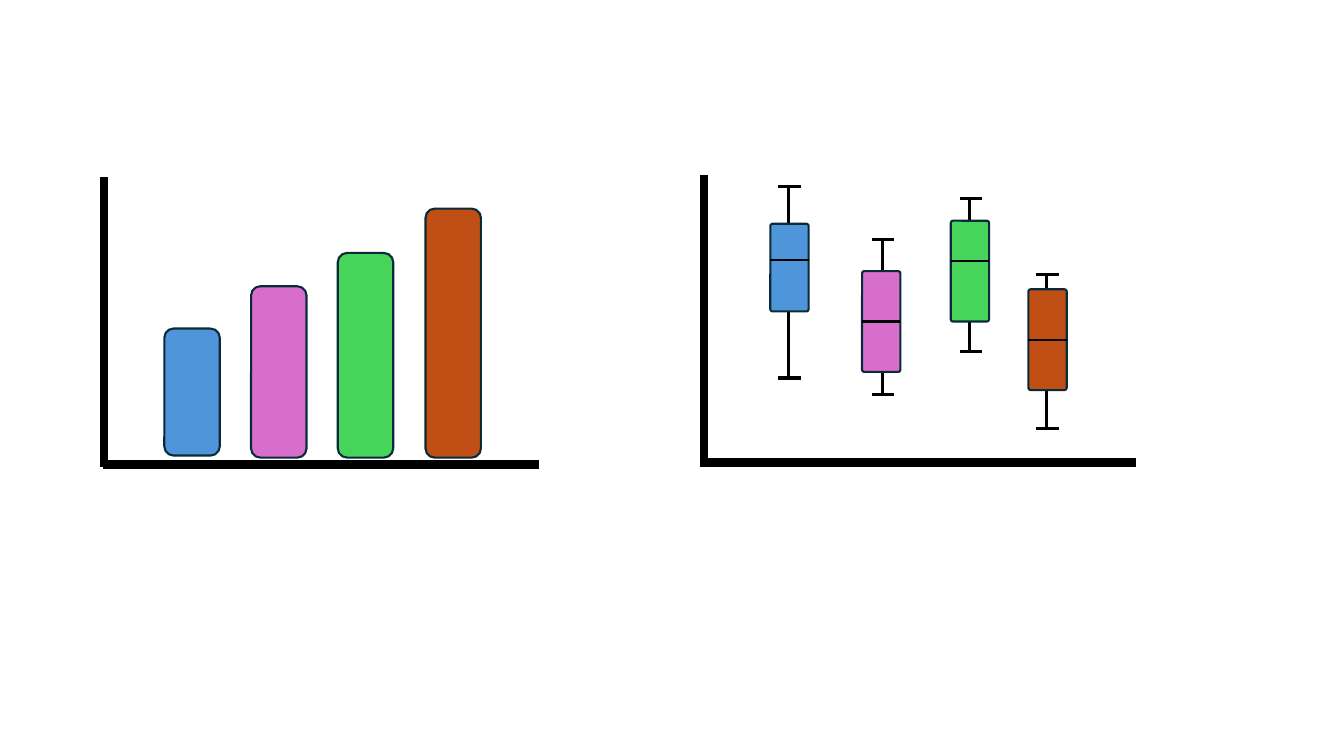
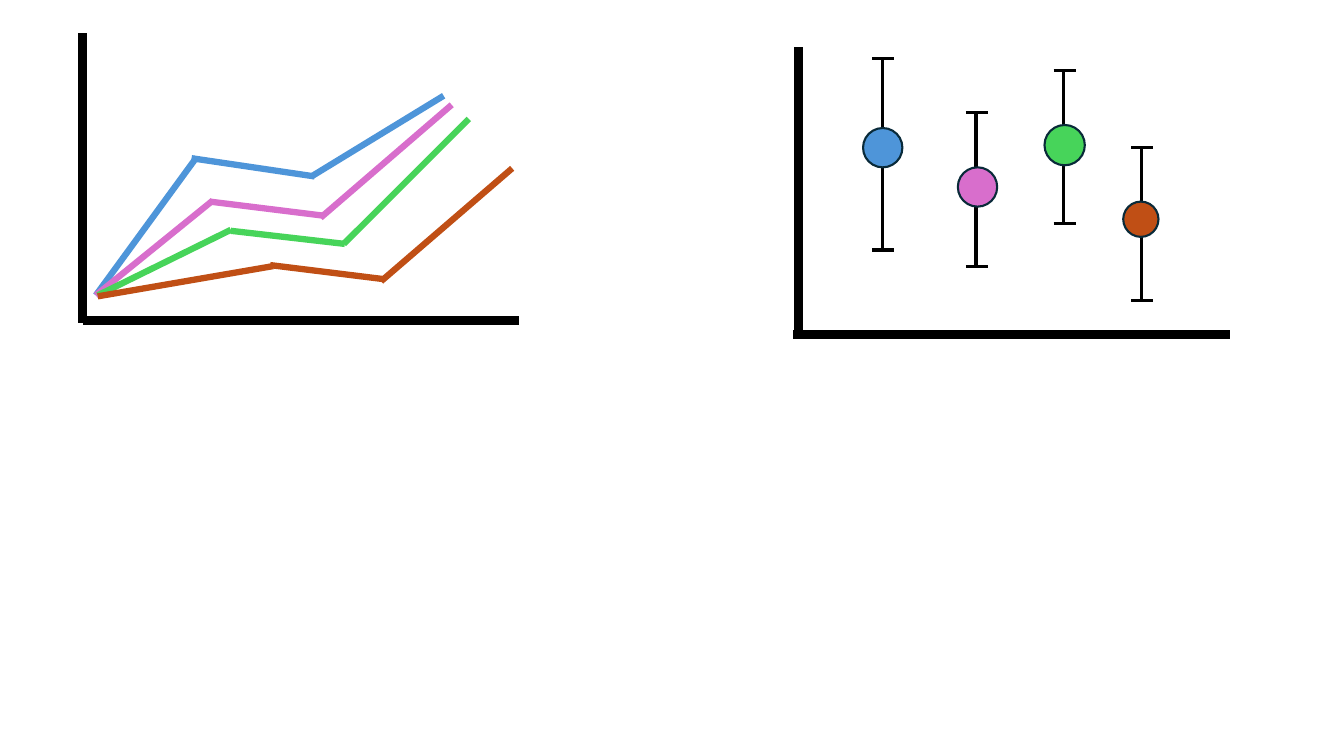
"""Build two slides of sketched charts: bars, boxes, lines and error bars."""
import collections

import lxml.etree
import pptx
import pptx.dml.color
import pptx.enum.shapes
import pptx.oxml.ns
import pptx.util

Theme = collections.namedtuple("Theme", "series outline ink axis trend whisker thin")
THEME = Theme(
    series=("4E95D9", "D86ECC", "47D45A", "C04F15"),
    outline="092A39",
    ink="000000",
    axis=6,
    trend=4.5,
    whisker=2.25,
    thin=1.5,
)
PX = 9144
SHAPES = pptx.enum.shapes.MSO_SHAPE


def add_line(grp, x1, y1, x2, y2, width, color=THEME.ink):
    c = grp.shapes.add_connector(
        pptx.enum.shapes.MSO_CONNECTOR.STRAIGHT, x1 * PX, y1 * PX, x2 * PX, y2 * PX
    )
    c.line.color.rgb = pptx.dml.color.RGBColor.from_string(color)
    c.line.width = pptx.util.Pt(width)
    lxml.etree.SubElement(c.element.spPr, pptx.oxml.ns.qn("a:effectLst"))
    return c


def add_mark(grp, kind, x, y, w, h, color):
    sp = grp.shapes.add_shape(kind, x * PX, y * PX, w * PX, h * PX)
    sp.shadow.inherit = False
    sp.fill.solid()
    sp.fill.fore_color.rgb = pptx.dml.color.RGBColor.from_string(color)
    sp.line.color.rgb = pptx.dml.color.RGBColor.from_string(THEME.outline)
    sp.line.width = pptx.util.Pt(THEME.thin)
    return sp


prs = pptx.Presentation()
prs.slide_width = 1333 * PX
prs.slide_height = 750 * PX
s1, s2 = [prs.slides.add_slide(prs.slide_layouts[6]) for _ in range(2)]

charts = []
for s, x, y, inset in ((s1, 102, 461, 1), (s1, 694, 459, 4), (s2, 787, 332, 5), (s2, 82, 318, 0)):
    grp = s.shapes.add_group_shape()
    add_line(grp, x, y, x + 433, y, THEME.axis)
    add_line(grp, x + inset, y + 2, x + inset, y - 285, THEME.axis)
    charts.append(grp)
bar_chart, box_chart, dot_chart, line_chart = charts

bars = ((326, 126), (284, 170), (251, 203), (207, 247))
for i, (top, height) in enumerate(bars):
    add_mark(bar_chart, SHAPES.ROUNDED_RECTANGLE, 163 + i * 259 // 3, top, 55, height, THEME.series[i])

box_ranges = ((782, 185, 375), (875, 238, 391), (962, 197, 349), (1038, 272, 425))
dot_ranges = ((875, 58, 248), (968, 112, 264), (1055, 70, 222), (1132, 146, 298))
for grp, ranges in ((box_chart, box_ranges), (dot_chart, dot_ranges)):
    for x, high, low in ranges:
        add_line(grp, x, low, x, high, THEME.whisker)
        for y in (high, low):
            add_line(grp, x - 10, y, x + 12, y, THEME.whisker)

boxes = ((764, 222, 87, 258), (855, 269, 100, 318), (943, 219, 100, 259), (1020, 287, 100, 338))
for (x, top, height, median), color in zip(boxes, THEME.series):
    box = add_mark(box_chart, SHAPES.ROUNDED_RECTANGLE, x, top, 38, height, color)
    box.adjustments[0] = 0.06
    c = add_line(box_chart, x, median, x + 38, median, THEME.thin)
    if abs(top + height / 2 - median) <= 1:
        c.begin_connect(box, 1)
        c.end_connect(box, 3)

dots = ((856, 127, 39), (950, 166, 39), (1036, 124, 40), (1114, 200, 35))
for (x, y, size), color in zip(dots, THEME.series):
    add_mark(dot_chart, SHAPES.OVAL, x, y, size, size, color)

trends = (
    ((95, 293, 195, 156), (312, 175, 190, 157), (309, 175, 440, 95)),
    ((95, 293, 211, 199), (321, 214, 208, 200), (318, 216, 448, 104)),
    ((97, 293, 229, 228), (342, 242, 229, 229), (341, 242, 465, 118)),
    ((97, 294, 271, 264), (381, 277, 268, 263), (378, 279, 508, 167)),
)
for segments, color in zip(trends, THEME.series):
    for segment in segments:
        add_line(line_chart, *segment, THEME.trend, color)

prs.save("out.pptx")
